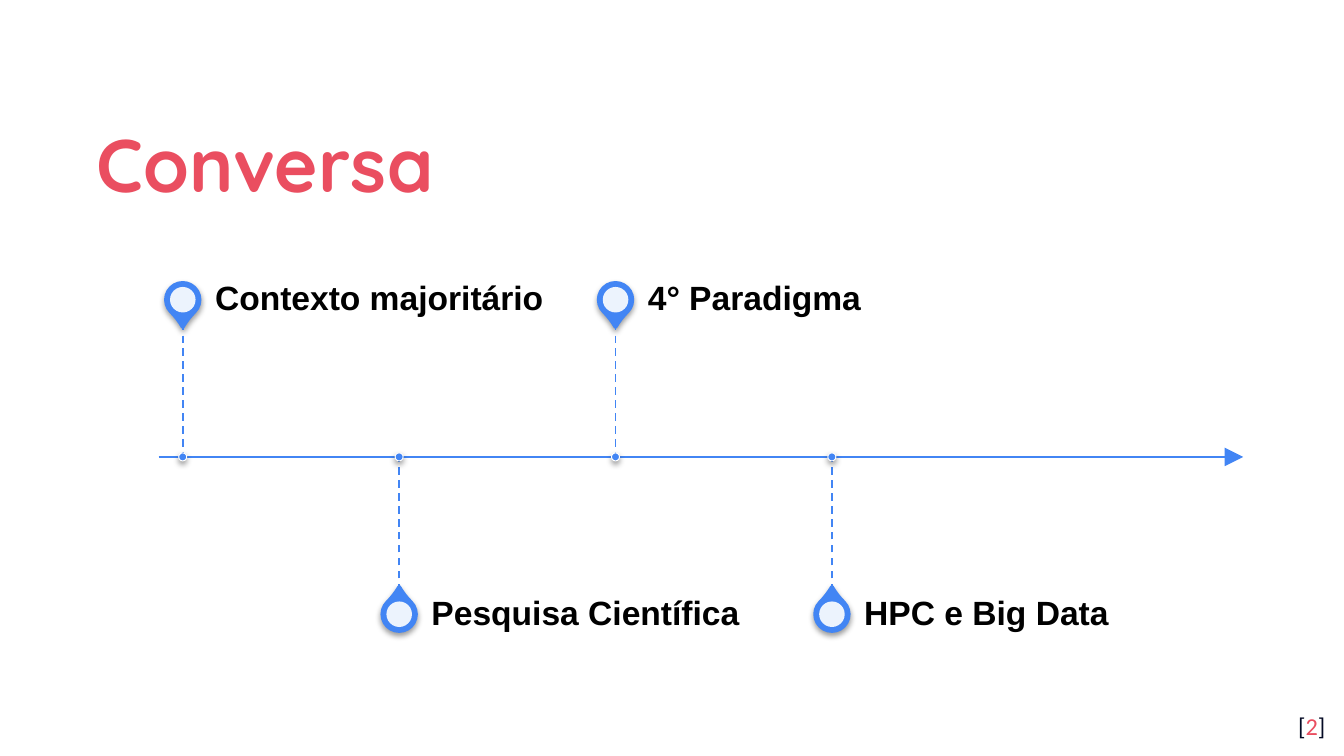
import pptx
import pptx.dml.color
import pptx.enum.dml
import pptx.enum.shapes
import pptx.enum.text
import pptx.oxml
import pptx.oxml.ns
import pptx.util
from pptx.util import Inches, Pt

TITLE = "Conversa"
PAGE_NUMBER = [("[", "ink"), ("2", "accent"), ("]", "ink")]
MILESTONES = ["Contexto majoritário", "Pesquisa Científica", "4° Paradigma", "HPC e Big Data"]

THEME = {
    "accent": "EA4E60", "ink": "040A24", "blue": "4285F4", "black": "000000", "white": "FFFFFF",
    "title": {"name": "Quicksand", "size": Pt(40), "bold": True},
    "label": {"name": "Arial", "size": Pt(18), "bold": True},
    "page": {"name": "Calibri", "size": Pt(13), "bold": False},
}

SLIDE_WIDTH = Inches(10)
SLIDE_HEIGHT = SLIDE_WIDTH * 9 // 16
AXIS_START, AXIS_END, AXIS_Y = 1.18, 9.25, 3.4
FIRST_X, STEP_X, STEM = 1.36, 1.61, 1.0
PIN, PIN_HOLE, DOT = 0.25, 0.19, 0.06
PIN_DISTANCE = 1.17
LABEL_GAP, LABEL_WIDTH, LABEL_HEIGHT = 0.17, 2.68, 0.35

SHAPES = pptx.enum.shapes.MSO_SHAPE
ALIGN = pptx.enum.text.PP_ALIGN
ANCHOR = pptx.enum.text.MSO_ANCHOR


def color(name):
    return pptx.dml.color.RGBColor.from_string(THEME[name])


def set_all(target, values):
    for name, value in values.items():
        setattr(target, name, value)


def add_xml(parent, tag, **attributes):
    element = parent.makeelement(
        pptx.oxml.ns.qn(tag), {key: str(value) for key, value in attributes.items()})
    parent.append(element)
    return element


def write(shape, runs, font, frame, paragraph_format):
    """Fill a shape's single paragraph with (text, colour name) runs."""
    set_all(shape.text_frame, {"word_wrap": True, "auto_size": pptx.enum.text.MSO_AUTO_SIZE.NONE, **frame})
    paragraph = shape.text_frame.paragraphs[0]
    set_all(paragraph, paragraph_format)
    for text, color_name in runs:
        run = paragraph.add_run()
        run.text = text
        set_all(run.font, THEME[font])
        run.font.color.rgb = color(color_name)


def margins(left, top, right, bottom):
    sides = {"left": left, "top": top, "right": right, "bottom": bottom}
    return {f"margin_{side}": Inches(size) for side, size in sides.items()}


def add_line(slide, start, end, width, dash=None, arrow=False):
    line = slide.shapes.add_connector(
        pptx.enum.shapes.MSO_CONNECTOR.STRAIGHT, *map(Inches, start + end))
    line.line.color.rgb = color("blue")
    line.line.width = Pt(width)
    if dash:
        line.line.dash_style = dash
    if arrow:
        outline = line._element.spPr.find(pptx.oxml.ns.qn("a:ln"))
        add_xml(outline, "a:tailEnd", type="triangle", w="lg", len="lg")
    add_xml(line._element.spPr, "a:effectLst")


def add_centred(slide, kind, x, y, size, fill, outline=None, shadow=False):
    """Add a square-framed shape about (x, y); outline is (colour name, points)."""
    shape = slide.shapes.add_shape(
        kind, Inches(x - size / 2), Inches(y - size / 2), Inches(size), Inches(size))
    shape.fill.solid()
    shape.fill.fore_color.rgb = color(fill)
    if outline:
        shape.line.color.rgb = color(outline[0])
        shape.line.width = Pt(outline[1])
    else:
        shape.line.fill.background()
    shape.shadow.inherit = False
    if shadow:
        effects = shape._element.spPr.find(pptx.oxml.ns.qn("a:effectLst"))
        outer = add_xml(effects, "a:outerShdw", blurRad=Pt(3.1), dist=Pt(1.6),
                        dir=90 * 60000, algn="bl", rotWithShape=0)
        add_xml(add_xml(outer, "a:srgbClr", val=THEME["black"]), "a:alpha", val=38000)
    return shape


def add_milestone(slide, index, label):
    """Place even milestones above the axis and odd ones below it."""
    direction, rotation = (-1, 135) if index % 2 == 0 else (1, 315)
    x = FIRST_X + index * STEP_X
    pin_y = AXIS_Y + direction * PIN_DISTANCE
    stem_y = AXIS_Y + direction * STEM

    pin = add_centred(slide, SHAPES.TEAR, x, pin_y, PIN, "blue", ("blue", 2), shadow=True)
    pin.adjustments[0] = 1.15
    pin.rotation = rotation
    hole = add_centred(slide, SHAPES.OVAL, x, pin_y, PIN_HOLE, "white")
    hole_color = hole._element.spPr.find(".//" + pptx.oxml.ns.qn("a:srgbClr"))
    add_xml(hole_color, "a:alpha", val=90000)

    box = slide.shapes.add_textbox(
        Inches(x + LABEL_GAP), Inches(pin_y - LABEL_HEIGHT / 2),
        Inches(LABEL_WIDTH), Inches(LABEL_HEIGHT))
    write(box, [(label, "black")], "label",
          {"vertical_anchor": ANCHOR.MIDDLE, **margins(0.07, 0, 0.12, 0)},
          {"line_spacing": 0.9})

    add_line(slide, (x, stem_y), (x, AXIS_Y), 1, dash=pptx.enum.dml.MSO_LINE.DASH)
    add_centred(slide, SHAPES.OVAL, x, AXIS_Y, DOT, "blue", ("white", 0.5), shadow=True)


def main():
    deck = pptx.Presentation()
    set_all(deck, {"slide_width": SLIDE_WIDTH, "slide_height": SLIDE_HEIGHT})
    slide = deck.slides.add_slide(deck.slide_layouts[5])

    title = slide.shapes.title
    set_all(title, {"left": Inches(0.62), "top": Inches(0.7),
                    "width": Inches(8.77), "height": Inches(0.92)})
    write(title, [(TITLE, "accent")], "title",
          {"vertical_anchor": ANCHOR.MIDDLE, **margins(0.1, 0.1, 0.1, 0.1)},
          {"alignment": ALIGN.LEFT, "line_spacing": 1.15})

    page = slide.shapes.add_textbox(Inches(9.36), Inches(5.19), Inches(0.6), Inches(0.43))
    write(page, PAGE_NUMBER, "page",
          {"vertical_anchor": ANCHOR.TOP, **margins(0.1, 0.1, 0.1, 0.1)},
          {"alignment": ALIGN.RIGHT})

    add_line(slide, (AXIS_START, AXIS_Y), (AXIS_END, AXIS_Y), 1.5, arrow=True)
    for index, label in enumerate(MILESTONES):
        add_milestone(slide, index, label)

    deck.save("out.pptx")


if __name__ == "__main__":
    main()
